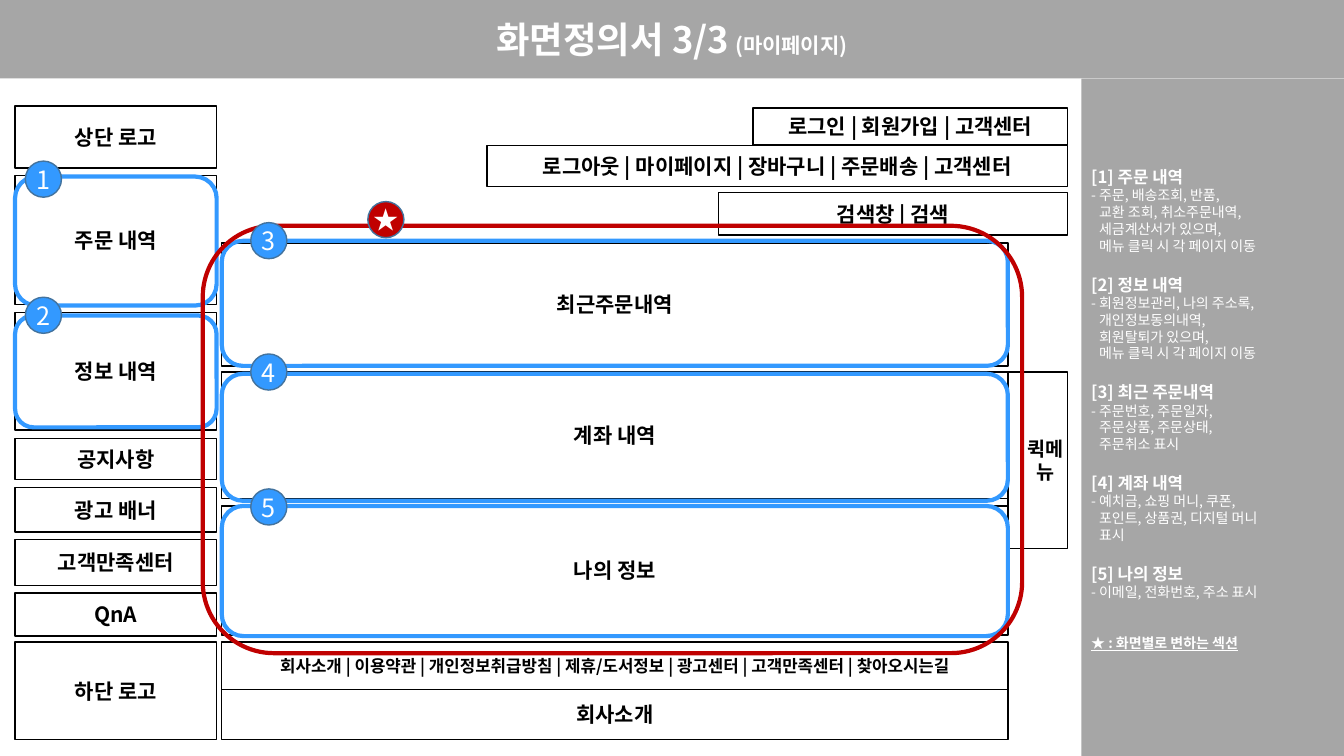
from typing import NamedTuple

from lxml.etree import SubElement
from pptx import Presentation
from pptx.dml.color import RGBColor
from pptx.enum.shapes import MSO_SHAPE
from pptx.enum.text import MSO_ANCHOR, PP_ALIGN
from pptx.oxml.ns import qn
from pptx.util import Cm, Pt

FONT = "Noto Sans CJK KR"
WHITE, BLACK, GRAY = "FFFFFF", "000000", "A6A6A6"
BLUE, RED, BADGE_EDGE = "3399FF", "C00000", "43739E"

SLIDE_W, SLIDE_H, HEADER_H = 33.87, 19.05, 1.98
SIDEBAR_LEFT = 27.25
MENU_LEFT, MENU_W = 0.38, 5.08
MAIN_LEFT, MAIN_W = 5.59, 19.81
RIGHT_EDGE = 26.9
BADGE_SIZE = 0.91


class Area(NamedTuple):
    left: float
    top: float
    width: float
    height: float


class Block(NamedTuple):
    label: str
    area: Area
    size: float = 15
    margin_left: float = 0.25
    margin_right: float = 0.25


class Section(NamedTuple):
    """A numbered blue frame; the badge lies on its upper left corner."""
    area: Area
    badge_left: float
    badge_top: float


class Note(NamedTuple):
    heading: str
    lines: list[str]


def menu_block(label: str, top: float, height: float) -> Block:
    return Block(label, Area(MENU_LEFT, top, MENU_W, height))


def main_block(label: str, top: float, height: float, size: float = 15) -> Block:
    return Block(label, Area(MAIN_LEFT, top, MAIN_W, height), size)


def right_block(label: str, top: float, width: float, height: float) -> Block:
    return Block(label, Area(RIGHT_EDGE - width, top, width, height))


# The quick menu label keeps to the right of the red frame that crosses its box.
QUICK_MENU = right_block("퀵메뉴", 9.37, 1.5, 4.45)._replace(
    size=14, margin_left=0.42, margin_right=0)

BLOCKS = [
    menu_block("상단 로고", 2.67, 1.57),
    menu_block("주문 내역", 4.42, 3.25),
    menu_block("정보 내역", 7.87, 2.97),
    menu_block("공지사항", 11.05, 1.04),
    menu_block("광고 배너", 12.29, 1.12),
    menu_block("고객만족센터", 13.59, 1.17),
    menu_block("QnA", 14.94, 1.09),
    menu_block("하단 로고", 16.18, 2.46),
    right_block("로그인 | 회원가입 | 고객센터", 2.72, 7.92, 0.94),
    right_block("로그아웃 | 마이페이지 | 장바구니 | 주문배송 | 고객센터", 3.66, 14.63, 1.04),
    right_block("검색창 | 검색", 4.85, 8.79, 1.07),
    main_block("최근주문내역", 6.12, 3.1),
    main_block("계좌 내역", 9.37, 3.2),
    main_block("나의 정보", 12.75, 3.25),
    main_block("회사소개 | 이용약관 | 개인정보취급방침 | 제휴/도서정보 | 광고센터 | "
               "고객만족센터 | 찾아오시는길", 16.18, 1.22, 12),
    main_block("회사소개", 17.37, 1.27),
    QUICK_MENU,
]

SECTIONS = [
    Section(Area(MENU_LEFT, 4.45, MENU_W, 3.25), 0.64, 4.06),
    Section(Area(MENU_LEFT, 7.95, MENU_W, 2.82), 0.64, 7.49),
    Section(Area(MAIN_LEFT, 6.07, MAIN_W, 3.15), 6.32, 5.61),
    Section(Area(MAIN_LEFT, 9.42, MAIN_W, 3.2), 6.32, 8.92),
    Section(Area(MAIN_LEFT, 12.75, MAIN_W, 3.28), 6.32, 12.32),
]
CHANGING_AREA = Area(5.11, 5.69, 20.65, 10.77)

NOTES = [
    Note("[1] 주문 내역", ["- 주문, 배송조회, 반품,", "교환 조회, 취소주문내역,",
                       "세금계산서가 있으며,", "메뉴 클릭 시 각 페이지 이동"]),
    Note("[2] 정보 내역", ["- 회원정보관리, 나의 주소록,", "개인정보동의내역,",
                       "회원탈퇴가 있으며,", "메뉴 클릭 시 각 페이지 이동"]),
    Note("[3] 최근 주문내역", ["- 주문번호, 주문일자,", "주문상품, 주문상태,",
                         "주문취소 표시"]),
    Note("[4] 계좌 내역", ["- 예치금, 쇼핑 머니, 쿠폰,", "포인트, 상품권, 디지털 머니",
                       "표시"]),
    Note("[5] 나의 정보", ["- 이메일, 전화번호, 주소 표시"]),
]


def rgb(color: str) -> RGBColor:
    return RGBColor.from_string(color)


def add_outline(slide, kind: MSO_SHAPE, area: Area, fill: str | None = None,
                line: str | None = None, weight: float = 1):
    shape = slide.shapes.add_shape(kind, *map(Cm, area))
    shape.shadow.inherit = False
    if fill:
        shape.fill.solid()
        shape.fill.fore_color.rgb = rgb(fill)
    else:
        shape.fill.background()
    if line:
        shape.line.color.rgb = rgb(line)
        shape.line.width = Pt(weight)
    else:
        shape.line.fill.background()
    shape.text_frame.vertical_anchor = MSO_ANCHOR.MIDDLE
    return shape


def style(paragraph, size: float, color: str, bold: bool = True,
          align: PP_ALIGN = PP_ALIGN.CENTER) -> None:
    paragraph.alignment = align
    paragraph.line_spacing = Pt(size * 1.2)
    font = paragraph.font
    font.size, font.bold = Pt(size), bold
    font.color.rgb = rgb(color)
    font.name = FONT
    defaults = paragraph._p.get_or_add_pPr().find(qn("a:defRPr"))
    SubElement(defaults, qn("a:ea")).set("typeface", FONT)


def add_header(slide) -> None:
    header = add_outline(slide, MSO_SHAPE.RECTANGLE,
                         Area(0, 0, SLIDE_W, HEADER_H), GRAY)
    title = header.text_frame.paragraphs[0]
    style(title, 26, WHITE)
    for words, size in [("화면정의서 3/3", 26), (" ", 18), ("(마이페이지)", 15)]:
        run = title.add_run()
        run.text = words
        run.font.size = Pt(size)


def add_sidebar(slide) -> None:
    sidebar = add_outline(
        slide, MSO_SHAPE.RECTANGLE,
        Area(SIDEBAR_LEFT, HEADER_H, SLIDE_W - SIDEBAR_LEFT, SLIDE_H - HEADER_H), GRAY)
    frame = sidebar.text_frame
    frame.margin_bottom = Cm(0.55)

    def add_line(words: str, size: float, bold: bool, gap: float = 0):
        first = not frame.paragraphs[0].text
        line = frame.paragraphs[0] if first else frame.add_paragraph()
        line.text = words
        style(line, size, WHITE, bold, PP_ALIGN.LEFT)
        line.space_before = Pt(0 if first else gap)
        return line

    for note in NOTES:
        add_line(note.heading, 12, True, gap=14.5)
        for words in note.lines:
            detail = add_line(words, 10, False)
            if not words.startswith("-"):
                detail._p.get_or_add_pPr().set("marL", str(Cm(0.2)))
    legend = add_line("★ : 화면별로 변하는 섹션", 10, True, gap=24)
    legend.font.underline = True


def add_block(slide, block: Block) -> None:
    frame = add_outline(slide, MSO_SHAPE.RECTANGLE, block.area, WHITE, BLACK).text_frame
    frame.margin_left, frame.margin_right = Cm(block.margin_left), Cm(block.margin_right)
    label = frame.paragraphs[0]
    label.text = block.label
    style(label, block.size, BLACK)


def add_badge(slide, mark: str, left: float, top: float, fill: str) -> None:
    frame = add_outline(slide, MSO_SHAPE.OVAL, Area(left, top, BADGE_SIZE, BADGE_SIZE),
                        fill, BADGE_EDGE).text_frame
    frame.margin_left = frame.margin_right = Cm(0)
    label = frame.paragraphs[0]
    label.text = mark
    style(label, 18, WHITE, bold=False)


def main() -> None:
    presentation = Presentation()
    presentation.slide_width, presentation.slide_height = Cm(SLIDE_W), Cm(SLIDE_H)
    slide = presentation.slides.add_slide(presentation.slide_layouts[6])

    add_sidebar(slide)
    add_header(slide)
    for block in BLOCKS:
        add_block(slide, block)
    for section in SECTIONS:
        add_outline(slide, MSO_SHAPE.ROUNDED_RECTANGLE, section.area, line=BLUE, weight=3)
    add_outline(slide, MSO_SHAPE.ROUNDED_RECTANGLE, CHANGING_AREA, line=RED, weight=3)
    add_badge(slide, "★", 9.27, 5.08, RED)
    for number, section in enumerate(SECTIONS, start=1):
        add_badge(slide, str(number), section.badge_left, section.badge_top, BLUE)

    presentation.save("out.pptx")


if __name__ == "__main__":
    main()
